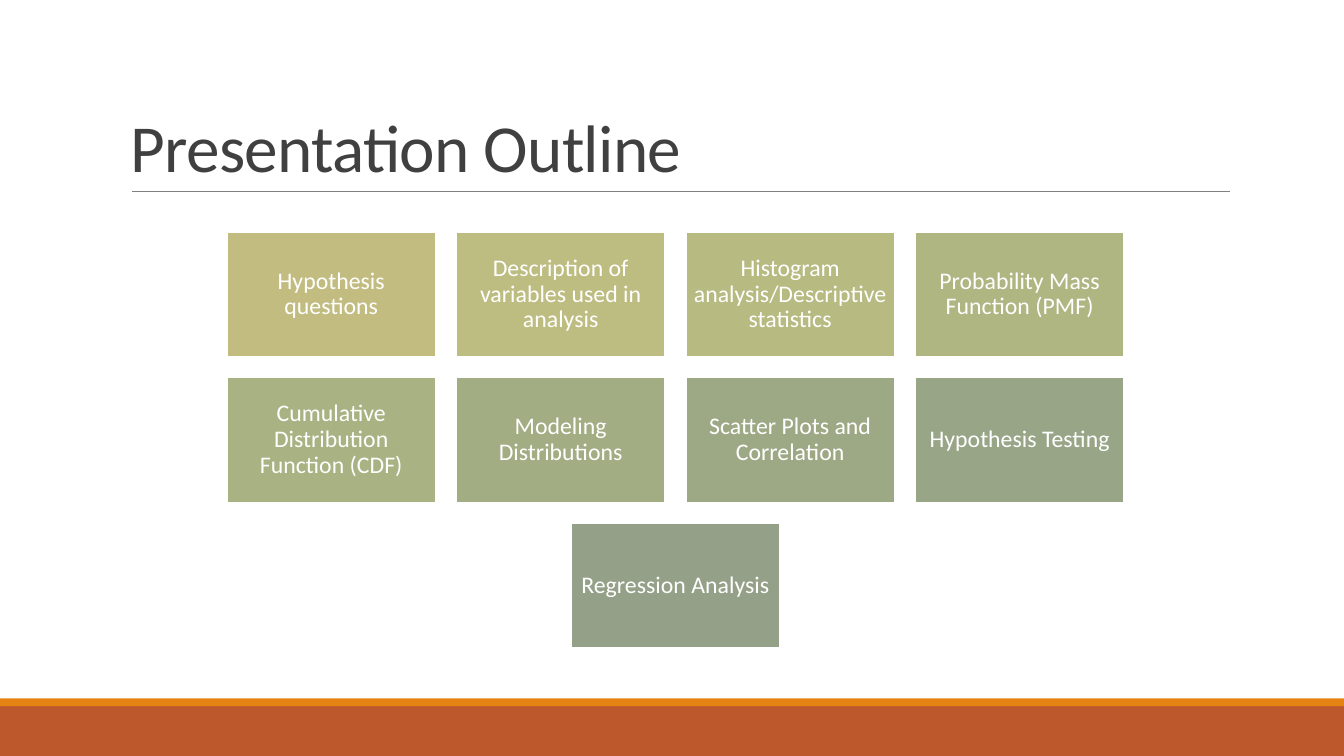
from dataclasses import dataclass

import pptx
import pptx.dml.color
import pptx.enum.shapes
import pptx.enum.text
import pptx.oxml
import pptx.oxml.ns
import pptx.util
from pptx.shapes.autoshape import Shape
from pptx.slide import Slide

Pt = pptx.util.Pt

SLIDE_WIDTH, SLIDE_HEIGHT = 960, 540
FONT = "Calibri"
COLORS = {
    "white": "FFFFFF",
    "title": "404040",
    "rule": "808080",
    "accent": "E48312",
    "footer": "BD582C",
}

COLUMNS = 4
CARD_WIDTH, CARD_HEIGHT = 149, 89.4
COLUMN_PITCH, ROW_PITCH = 163.9, 104
GRID_CENTER, GRID_TOP = 482.5, 165.6
CARD_INSET = 5


@dataclass(frozen=True)
class Box:
    left: float
    top: float
    width: float
    height: float


@dataclass(frozen=True)
class Topic:
    text: str
    fill: str


TOPICS = [
    Topic("Hypothesis questions", "C2BC80"),
    Topic("Description of variables used in analysis", "BEBD81"),
    Topic("Histogram analysis/Descriptive statistics", "B7BA81"),
    Topic("Probability Mass Function (PMF)", "AFB682"),
    Topic("Cumulative Distribution Function (CDF)", "A8B283"),
    Topic("Modeling Distributions", "A2AD84"),
    Topic("Scatter Plots and Correlation", "9DA985"),
    Topic("Hypothesis Testing", "98A587"),
    Topic("Regression Analysis", "94A088"),
]


def rgb(value: str) -> pptx.dml.color.RGBColor:
    return pptx.dml.color.RGBColor.from_string(value)


def add_rectangle(slide: Slide, box: Box, fill: str) -> Shape:
    """Add a flat rectangle without outline or shadow."""
    shape = slide.shapes.add_shape(
        pptx.enum.shapes.MSO_SHAPE.RECTANGLE,
        Pt(box.left), Pt(box.top), Pt(box.width), Pt(box.height),
    )
    shape.shadow.inherit = False
    shape.fill.solid()
    shape.fill.fore_color.rgb = rgb(fill)
    shape.line.fill.background()
    return shape


def write_text(shape: Shape, text: str, size: float, color: str, line_spacing: float) -> None:
    shape.text_frame.word_wrap = True
    paragraph = shape.text_frame.paragraphs[0]
    paragraph.text = text
    paragraph.line_spacing = line_spacing
    paragraph.font.name = FONT
    paragraph.font.size = Pt(size)
    paragraph.font.color.rgb = rgb(color)


def add_title(slide: Slide) -> None:
    title = slide.shapes.add_textbox(Pt(86.4), Pt(22.6), Pt(792), Pt(114.2))
    write_text(title, "Presentation Outline", 48, COLORS["title"], 0.85)
    title.text_frame.vertical_anchor = pptx.enum.text.MSO_ANCHOR.BOTTOM
    # Letter spacing, in hundredths of a point
    title.text_frame.paragraphs[0].runs[0]._r.get_or_add_rPr().set("spc", "-50")


def add_title_rule(slide: Slide) -> None:
    rule = slide.shapes.add_connector(
        pptx.enum.shapes.MSO_CONNECTOR.STRAIGHT,
        Pt(94.2), Pt(136.6), Pt(878.8), Pt(136.6),
    )
    rule.line.color.rgb = rgb(COLORS["rule"])
    rule.line.width = Pt(0.5)
    properties = rule._element.spPr
    properties.append(properties.makeelement(pptx.oxml.ns.qn("a:effectLst"), {}))


def card_box(index: int) -> Box:
    """Place a card in the grid, centring a row that is not full."""
    row, column = divmod(index, COLUMNS)
    cards_in_row = min(COLUMNS, len(TOPICS) - row * COLUMNS)
    center = GRID_CENTER + (column - (cards_in_row - 1) / 2) * COLUMN_PITCH
    return Box(center - CARD_WIDTH / 2, GRID_TOP + row * ROW_PITCH, CARD_WIDTH, CARD_HEIGHT)


def add_card(slide: Slide, topic: Topic, box: Box) -> None:
    card = add_rectangle(slide, box, topic.fill)
    card.line.color.rgb = rgb(COLORS["white"])
    card.line.width = Pt(1.25)
    write_text(card, topic.text, 17, COLORS["white"], 0.9)
    frame = card.text_frame
    frame.margin_left = frame.margin_right = Pt(CARD_INSET)
    frame.margin_top = frame.margin_bottom = Pt(CARD_INSET)
    frame.vertical_anchor = pptx.enum.text.MSO_ANCHOR.MIDDLE
    frame.paragraphs[0].alignment = pptx.enum.text.PP_ALIGN.CENTER


def main() -> None:
    presentation = pptx.Presentation()
    presentation.slide_width = Pt(SLIDE_WIDTH)
    presentation.slide_height = Pt(SLIDE_HEIGHT)
    slide = presentation.slides.add_slide(presentation.slide_layouts[6])

    add_rectangle(slide, Box(0, 504, SLIDE_WIDTH, 36), COLORS["footer"])
    add_rectangle(slide, Box(0, 498.8, SLIDE_WIDTH, 5.6), COLORS["accent"])
    add_title_rule(slide)
    add_title(slide)
    for index, topic in enumerate(TOPICS):
        add_card(slide, topic, card_box(index))

    presentation.save("out.pptx")


if __name__ == "__main__":
    main()
